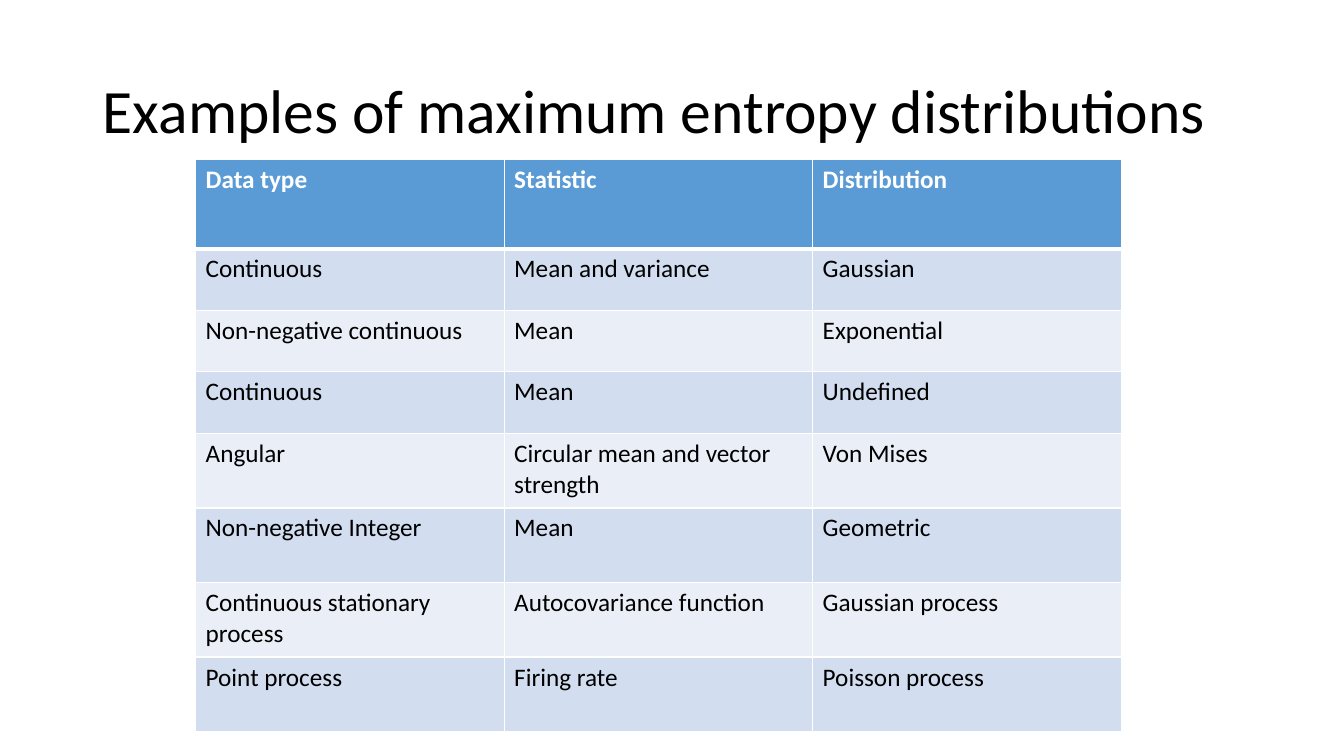
from dataclasses import dataclass

from lxml import etree
from pptx import Presentation
from pptx import util as u
from pptx.dml.color import RGBColor
from pptx.enum import text
from pptx.oxml import ns

FONT = "Calibri"
HUES = {"ink": "000000", "white": "FFFFFF", "head": "5B9BD5",
        "dark": "D2DEEF", "light": "EAEFF7"}
WIDTH = 3.06


@dataclass
class Row:
    cells: tuple[str, str, str]
    high: float


ROWS = [
    Row(("Data type", "Statistic", "Distribution"), 0.89),
    Row(("Continuous", "Mean and variance", "Gaussian"), 0.61),
    Row(("Non-negative continuous", "Mean", "Exponential"), 0.61),
    Row(("Continuous", "Mean", "Undefined"), 0.61),
    Row(("Angular", "Circular mean and vector strength", "Von Mises"), 0.74),
    Row(("Non-negative Integer", "Mean", "Geometric"), 0.74),
    Row(("Continuous stationary process", "Autocovariance function",
         "Gaussian process"), 0.74),
    Row(("Point process", "Firing rate", "Poisson process"), 0.74),
]


def add_run(para, words: str, size: float, hue: str, bold: bool = False) -> None:
    run = para.add_run()
    run.text = words
    font = run.font
    font.name, font.size, font.bold = FONT, u.Pt(size), bold
    font.color.rgb = RGBColor.from_string(HUES[hue])


def add_edge(cell, side: str, points: float) -> None:
    """Draw a white border on one side: L, R, T or B."""
    props = cell._tc.get_or_add_tcPr()
    line = etree.SubElement(props, ns.qn(f"a:ln{side}"), w=str(u.Pt(points)))
    fill = etree.SubElement(line, ns.qn("a:solidFill"))
    etree.SubElement(fill, ns.qn("a:srgbClr"), val=HUES["white"])


def add_title(slide, words: str) -> None:
    title = slide.shapes.title
    title.left, title.top = u.Inches(0.92), u.Inches(0.4)
    title.width, title.height = u.Inches(11.5), u.Inches(1.45)
    frame = title.text_frame
    frame.word_wrap = True
    frame.auto_size = text.MSO_AUTO_SIZE.NONE
    frame.vertical_anchor = text.MSO_ANCHOR.MIDDLE
    para = frame.paragraphs[0]
    para.alignment = text.PP_ALIGN.LEFT
    para.line_spacing = 0.9
    add_run(para, words, 44, "ink")


def add_grid(slide, rows: list[Row]) -> None:
    count = len(rows[0].cells)
    high = sum(row.high for row in rows)
    grid = slide.shapes.add_table(
        len(rows), count, u.Inches(1.94), u.Inches(1.58),
        u.Inches(WIDTH * count), u.Inches(high)).table
    for col in grid.columns:
        col.width = u.Inches(WIDTH)
    for i, row in enumerate(rows):
        grid.rows[i].height = u.Inches(row.high)
        head = i == 0
        back = "head" if head else "dark" if i % 2 else "light"
        for j, words in enumerate(row.cells):
            cell = grid.cell(i, j)
            for side in "LRTB":
                thick = (head and side == "B") or (i == 1 and side == "T")
                add_edge(cell, side, 3 if thick else 1)
            cell.fill.solid()
            cell.fill.fore_color.rgb = RGBColor.from_string(HUES[back])
            add_run(cell.text_frame.paragraphs[0], words, 18,
                    "white" if head else "ink", head)


def main() -> None:
    deck = Presentation()
    deck.slide_width, deck.slide_height = u.Inches(13.33), u.Inches(7.5)
    slide = deck.slides.add_slide(deck.slide_layouts[5])
    add_title(slide, "Examples of maximum entropy distributions")
    add_grid(slide, ROWS)
    deck.save("out.pptx")


if __name__ == "__main__":
    main()
